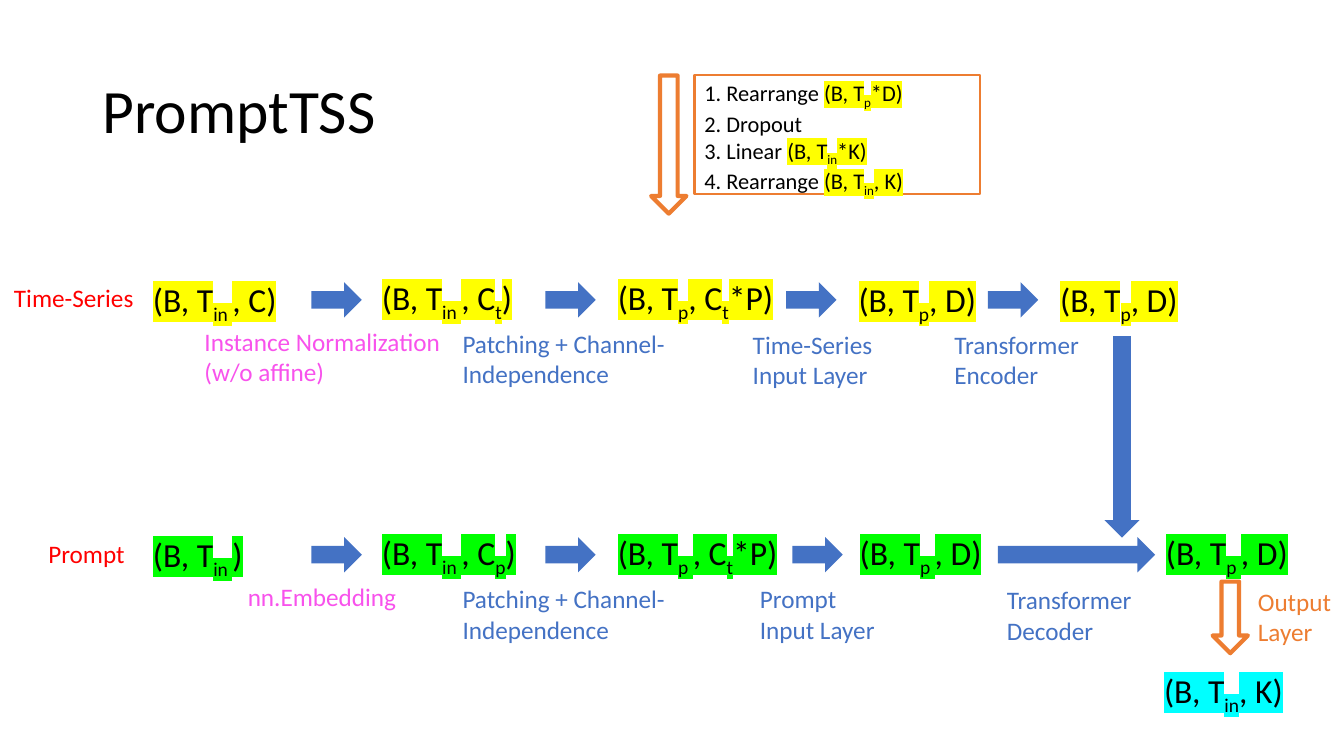
from lxml.etree import SubElement
from pptx import Presentation
from pptx.dml.color import RGBColor
from pptx.enum.shapes import MSO_SHAPE
from pptx.enum.text import MSO_ANCHOR, PP_ALIGN
from pptx.oxml.ns import qn
from pptx.util import Pt

BLUE, ORANGE, PINK, RED = "4472C4", "ED7D31", "F852EC", "FF0000"
YELLOW, GREEN, CYAN = "FFFF00", "00FF00", "00FFFF"

deck = Presentation()
deck.slide_width, deck.slide_height = Pt(960), Pt(540)
slide = deck.slides.add_slide(deck.slide_layouts[6])


def write(text, x, y, w, h, size=18, color="000000", mark=None, wrap=False,
          fill=None, line=None, anchor=MSO_ANCHOR.TOP, space=None):
    """Write a box of text: ~ turns subscript on and off, | starts the marked part."""
    place = [Pt(v) for v in (x, y, w, h)]
    if fill or line:
        box = slide.shapes.add_shape(MSO_SHAPE.RECTANGLE, *place)
        paint(box, fill, line, 1.5)
    else:
        box = slide.shapes.add_textbox(*place)
    frame = box.text_frame
    frame.word_wrap, frame.vertical_anchor = wrap, anchor
    for i, row in enumerate(text.split("\n")):
        para = frame.add_paragraph() if i else frame.paragraphs[0]
        para.alignment = PP_ALIGN.LEFT
        if space:
            para.line_spacing = space
        for j, part in enumerate(row.split("|")):
            for k, piece in enumerate(part.split("~")):
                if not piece:
                    continue
                run = para.add_run()
                run.text = piece
                font = run.font
                font.size, font.name = Pt(size), "Calibri"
                font.color.rgb = RGBColor.from_string(color)
                props = run._r.get_or_add_rPr()
                if k % 2:
                    props.set("baseline", "-25000")
                if mark and (j or "|" not in text):
                    light = SubElement(props, qn("a:highlight"))
                    SubElement(light, qn("a:srgbClr"), val=mark)
                    props.find(qn("a:solidFill")).addnext(light)


def paint(shape, fill, line, width):
    shape.shadow.inherit = False
    if fill:
        shape.fill.solid()
        shape.fill.fore_color.rgb = RGBColor.from_string(fill)
    else:
        shape.fill.background()
    if line:
        shape.line.color.rgb = RGBColor.from_string(line)
        shape.line.width = Pt(width)
    else:
        shape.line.fill.background()


write("PromptTSS", 66.2, 28.8, 828, 104.4, size=44, wrap=True,
      anchor=MSO_ANCHOR.MIDDLE, space=0.9)

# Row names
write("Time-Series", 2.9, 198, 107.3, 29, color=RED, fill="FFFFFF")
write("Prompt", 27.4, 380.9, 72, 29, color=RED, fill="FFFFFF")

# Tensor shapes
for text, x, y, w, mark in [
    ("(B, T~in ~, C)", 102.2, 195.8, 105.1, YELLOW),
    ("(B, T~in ~, C~t~)", 265.7, 194.4, 115.9, YELLOW),
    ("(B, T~p~, C~t~*P)", 434.2, 194.4, 136.1, YELLOW),
    ("(B, T~p~, D)", 606.2, 195.8, 102.2, YELLOW),
    ("(B, T~p~, D)", 750.2, 195.8, 102.2, YELLOW),
    ("(B, T~in ~)", 102.2, 378, 82.1, GREEN),
    ("(B, T~in ~, C~p~)", 265.7, 376.6, 123.8, GREEN),
    ("(B, T~p ~, C~t~*P)", 434.2, 376.6, 136.8, GREEN),
    ("(B, T~p ~, D)", 607, 376.6, 105.8, GREEN),
    ("(B, T~p ~, D)", 825.8, 376.6, 105.8, GREEN),
    ("(B, T~in~, K)", 824.4, 475.2, 104.4, CYAN),
]:
    write(text, x, y, w, 36, size=24, mark=mark)

# Step names
for text, x, y, w, h, color in [
    ("Instance Normalization\n(w/o affine)", 139, 229.7, 184.3, 51, PINK),
    ("Time-Series\nInput Layer", 530.6, 231.8, 107.3, 51, BLUE),
    ("Transformer\nEncoder", 674.6, 231.8, 108.7, 51, BLUE),
    ("nn.Embedding", 169.9, 411.8, 128.9, 29, PINK),
    ("Prompt\nInput Layer", 535.7, 413.3, 101.5, 51, BLUE),
    ("Transformer\nDecoder", 712.1, 414, 108.7, 51, BLUE),
]:
    write(text, x, y, w, h, color=color)
for y in (231.1, 413.3):
    write("Patching + Channel-\nIndependence", 323.3, y, 176.4, 51,
          color=BLUE, wrap=True)
write("Output Layer", 891.4, 415.4, 79.2, 51, color=ORANGE, wrap=True)

# Output layer steps
write("1. Rearrange |(B, T~p~*D)\n2. Dropout\n3. Linear |(B, T~in~*K)\n"
      "4. Rearrange |(B, T~in~, K)", 496.1, 53.3, 203.8, 85, size=16,
      mark=YELLOW, wrap=True, line=ORANGE)

# Arrows: solid for the flow, hollow for the output layer
flow = [(x, 201.6, 36, 0, BLUE, None) for x in (222.5, 389.5, 561.6, 705.6)]
flow += [(x, 383.6, 36, 0, BLUE, None) for x in (222.5, 389.5, 566)]
flow += [
    (712.8, 383.6, 112.3, 0, BLUE, None),
    (729.4, 299.5, 144, 90, BLUE, None),
    (853.2, 428.4, 51.1, 90, None, ORANGE),
    (428.4, 90.7, 98.6, 90, None, ORANGE),
]
for x, y, w, turn, fill, line in flow:
    arrow = slide.shapes.add_shape(MSO_SHAPE.RIGHT_ARROW, Pt(x), Pt(y), Pt(w), Pt(25.2))
    arrow.rotation = turn
    paint(arrow, fill, line, 3)

deck.save("out.pptx")
